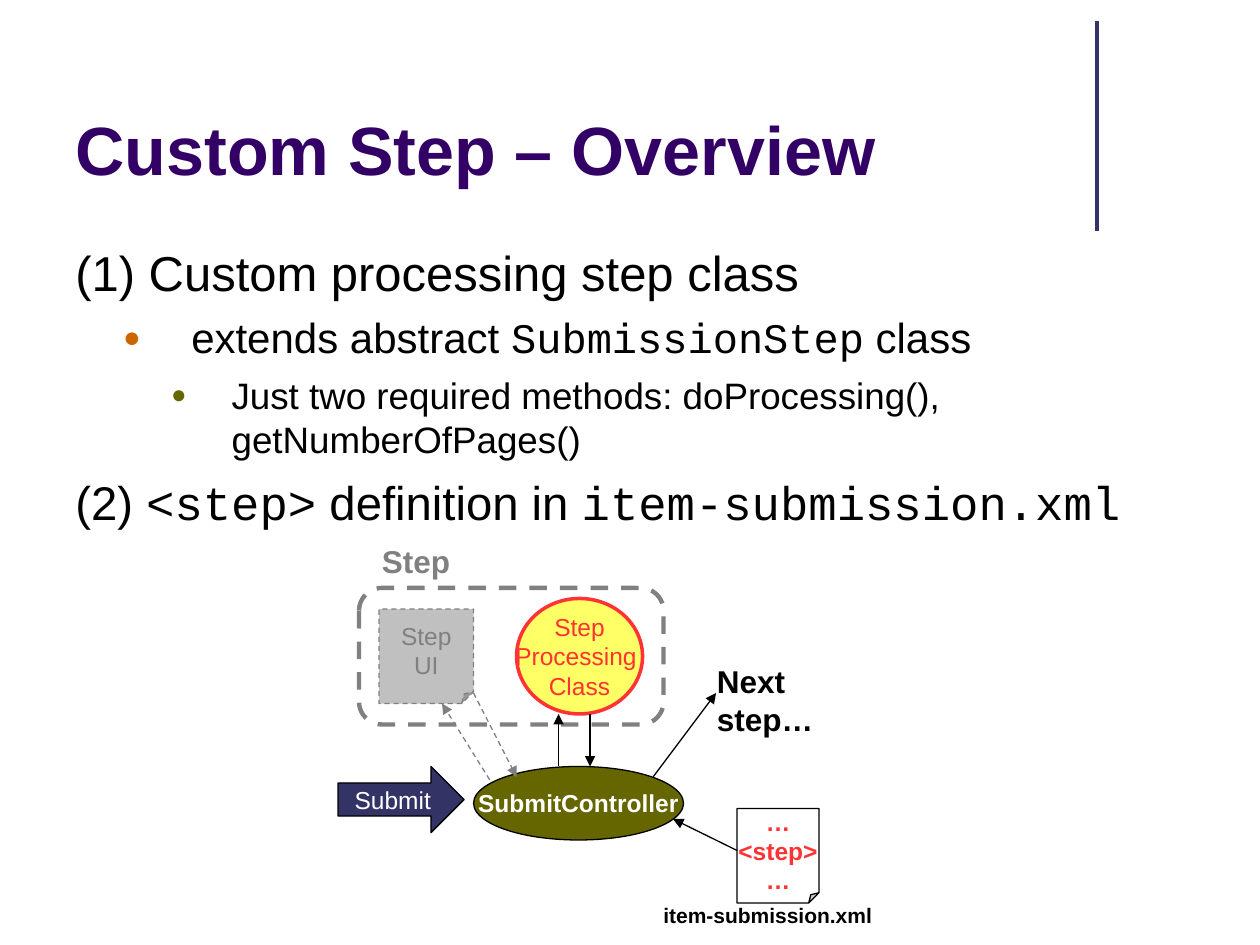
from lxml.etree import SubElement
from pptx import Presentation
from pptx.dml.color import RGBColor
from pptx.enum.dml import MSO_LINE
from pptx.enum.shapes import MSO_CONNECTOR, MSO_SHAPE
from pptx.enum.text import MSO_ANCHOR, PP_ALIGN
from pptx.oxml.ns import qn
from pptx.util import Inches, Pt

BLACK = RGBColor(0x00, 0x00, 0x00)
WHITE = RGBColor(0xFF, 0xFF, 0xFF)
GRAY = RGBColor(0x80, 0x80, 0x80)
SILVER = RGBColor(0xC0, 0xC0, 0xC0)
NAVY = RGBColor(0x33, 0x33, 0x66)
PURPLE = RGBColor(0x33, 0x00, 0x66)
ORANGE = RGBColor(0xCC, 0x66, 0x00)
OLIVE = RGBColor(0x66, 0x66, 0x00)
YELLOW = RGBColor(0xFF, 0xFF, 0x66)
RED = RGBColor(0xFF, 0x33, 0x33)


def write(para, text, size=14, color=BLACK, bold=False, align=PP_ALIGN.LEFT,
          level=0, margin=0, hanging=0, before=0, bullet=None):
    """Fill a paragraph, setting parts between backticks in the code font."""
    para.alignment, para.level, para.space_before = align, level, Pt(before)
    for index, part in enumerate(text.split("`")):
        if part:
            span = para.add_run()
            span.text = part
            span.font.name = "Courier New" if index % 2 else "Arial"
            span.font.size, span.font.bold = Pt(size), bold
            span.font.color.rgb = color
    properties = para._p.get_or_add_pPr()
    properties.set("marL", str(Inches(margin)))
    properties.set("indent", str(-Inches(hanging)))
    if bullet is None:
        SubElement(properties, qn("a:buNone"))
    else:
        tint = SubElement(properties, qn("a:buClr"))
        SubElement(tint, qn("a:srgbClr"), val=str(bullet))
        SubElement(properties, qn("a:buSzPct"), val="70000")
        SubElement(properties, qn("a:buFont"), typeface="Arial")
        SubElement(properties, qn("a:buChar"), char="●")


class Sketch:
    """Draws elements on one slide, on a grid of twelve cells to the inch."""

    def __init__(self, page, cell=Inches(1) / 12):
        self.page = page
        self.cell = cell

    def place(self, *cells):
        return [round(value * self.cell) for value in cells]

    def stroke(self, line, color, width, dashed):
        line.color.rgb, line.width = color, Pt(width)
        if dashed:
            line.dash_style = MSO_LINE.DASH

    def shape(self, kind, area, text="", fill=None, line=BLACK, width=0.75,
              dashed=False, fold=None, **style):
        box = self.page.shapes.add_shape(kind, *self.place(*area))
        box.shadow.inherit = False
        if fold is not None:
            guides = box._element.spPr.find(qn("a:prstGeom")).get_or_add_avLst()
            SubElement(guides, qn("a:gd"), name="adj", fmla=f"val {round(fold * 100000)}")
        if fill is None:
            box.fill.background()
        else:
            box.fill.solid()
            box.fill.fore_color.rgb = fill
        self.stroke(box.line, line, width, dashed)
        if text:
            self.fill_text(box, text.split("\n"), MSO_ANCHOR.MIDDLE,
                           align=PP_ALIGN.CENTER, **style)

    def text(self, area, lines, anchor=MSO_ANCHOR.TOP, wrap=False, **style):
        box = self.page.shapes.add_textbox(*self.place(*area))
        self.fill_text(box, lines, anchor, wrap, **style)

    def fill_text(self, box, lines, anchor, wrap=False, **style):
        frame = box.text_frame
        frame.word_wrap, frame.vertical_anchor = wrap, anchor
        for index, line in enumerate(lines):
            para = frame.add_paragraph() if index else frame.paragraphs[0]
            words, own = (line, {}) if isinstance(line, str) else line
            write(para, words, **{**style, **own})

    def line(self, start, end, color=BLACK, width=0.75, dashed=False, arrow=True):
        link = self.page.shapes.add_connector(
            MSO_CONNECTOR.STRAIGHT, *self.place(*start, *end))
        self.stroke(link.line, color, width, dashed)
        if arrow:
            SubElement(link.line._get_or_add_ln(), qn("a:tailEnd"), type="triangle")
        SubElement(link._element.spPr, qn("a:effectLst"))


def main():
    deck = Presentation()
    deck.slide_width, deck.slide_height = Inches(10), Inches(7.5)
    sketch = Sketch(deck.slides.add_slide(deck.slide_layouts[6]))

    sketch.line((104.5, 2), (104.5, 22), NAVY, 2, arrow=False)
    sketch.shape(MSO_SHAPE.ROUNDED_RECTANGLE, (34.2, 56, 29, 13),
                 line=GRAY, width=2.5, dashed=True)
    sketch.text((6, 9.6, 99, 9), ["Custom Step – Overview"], MSO_ANCHOR.BOTTOM,
                wrap=True, size=39, color=PURPLE, bold=True)
    item = dict(margin=0.62, hanging=0.62)
    sketch.text((6, 22.5, 108, 28.5), [
        ("(1) Custom processing step class", dict(item, size=28, before=7)),
        ("extends abstract `SubmissionStep` class",
         dict(size=24, level=1, margin=0.92, hanging=0.54, bullet=ORANGE)),
        ("Just two required methods: doProcessing(), getNumberOfPages()",
         dict(size=21, level=2, margin=1.24, hanging=0.48, bullet=OLIVE)),
        ("(2) `<step>` definition in `item-submission.xml`",
         dict(item, size=27, before=6.8)),
    ], wrap=True, before=6)

    faded = dict(color=GRAY, dashed=True)
    sketch.line((47.1, 75), (42.1, 67), **faded)
    sketch.shape(MSO_SHAPE.RIGHT_ARROW, (32.2, 73, 12, 6.3), "Submit", NAVY,
                 color=WHITE)
    sketch.shape(MSO_SHAPE.OVAL, (45.1, 73, 20, 7), "SubmitController", OLIVE,
                 color=WHITE, bold=True)
    sketch.shape(MSO_SHAPE.FOLDED_CORNER, (36.1, 58, 9, 9), "Step\nUI", SILVER,
                 line=GRAY, fold=0.125, **faded)
    sketch.line((45.1, 66), (49.2, 74), **faded)
    sketch.shape(MSO_SHAPE.FOLDED_CORNER, (70.2, 77, 7.8, 9), "…\n<step>\n…", WHITE,
                 color=RED, bold=True, fold=0.125)
    sketch.line((70.2, 81), (64.1, 78))
    sketch.shape(MSO_SHAPE.OVAL, (49.2, 57, 12, 11), "Step\nProcessing \nClass", YELLOW,
                 line=RED, width=2, color=RED)
    sketch.line((53.2, 73), (53.2, 68))
    sketch.line((56.2, 68), (56.2, 73))
    sketch.line((62.2, 74), (68.2, 66))

    sketch.text((67.1, 62.5, 18.8, 4.8), ["Next step…"], size=18, bold=True)
    sketch.text((35.2, 51, 8.9, 4.8), ["Step"], size=18, color=GRAY, bold=True)
    sketch.text((62, 85.4, 22.3, 3.6), ["item-submission.xml"], size=12, bold=True)
    deck.save("out.pptx")


if __name__ == "__main__":
    main()
